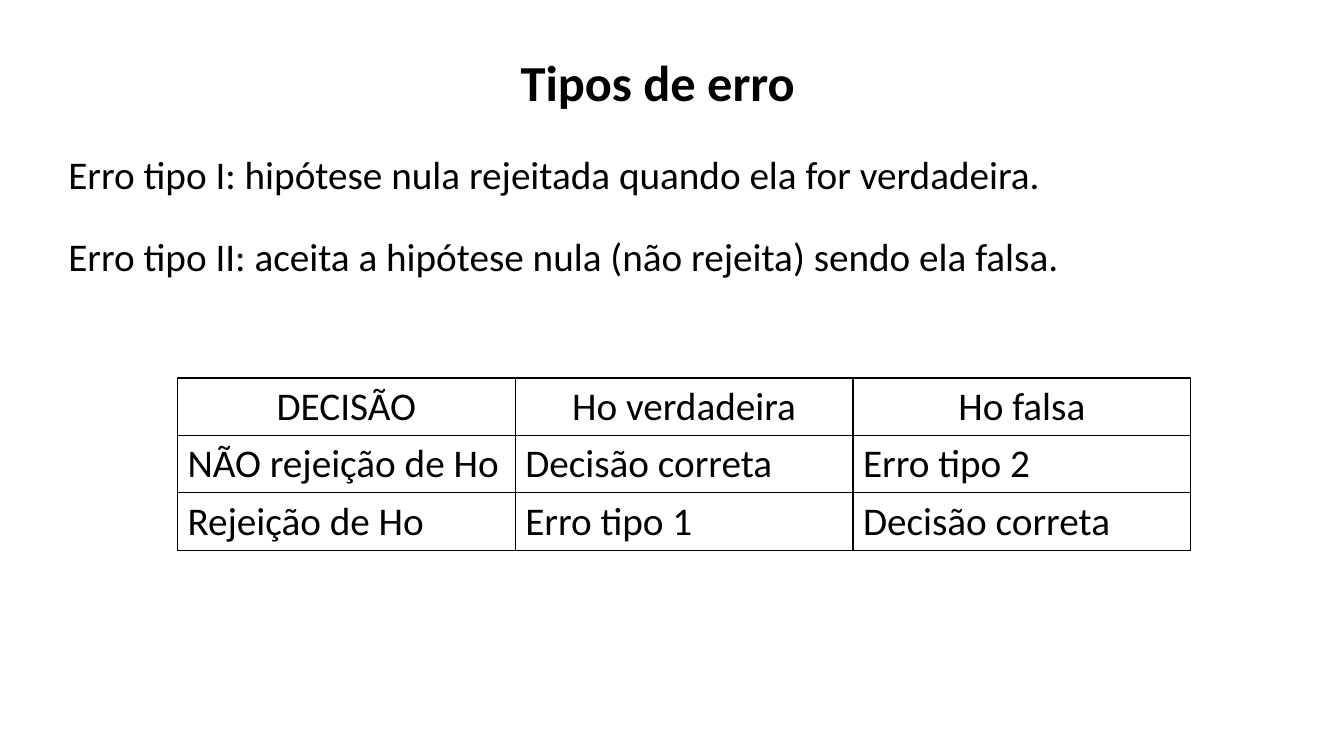
"""Build the slide on type I and type II errors."""
import pptx
import pptx.util
import pptx.dml.color
import pptx.enum.text
import pptx.oxml
import pptx.oxml.ns

Inches = pptx.util.Inches
Pt = pptx.util.Pt
Align = pptx.enum.text.PP_ALIGN
Anchor = pptx.enum.text.MSO_ANCHOR
BLACK = pptx.dml.color.RGBColor(0, 0, 0)


def style(para, size, align, bold=False):
    para.alignment = align
    para.font.name = "Calibri"
    para.font.size = Pt(size)
    para.font.bold = bold
    para.font.color.rgb = BLACK


def border(cell):
    props = cell._tc.get_or_add_tcPr()
    for i, side in enumerate(("lnL", "lnR", "lnT", "lnB")):
        line = pptx.oxml.parse_xml(
            f'<a:{side} {pptx.oxml.ns.nsdecls("a")} w="12700">'
            f'<a:solidFill><a:srgbClr val="{BLACK}"/></a:solidFill></a:{side}>'
        )
        props.insert(i, line)


deck = pptx.Presentation()
deck.slide_width = Inches(13.33)
deck.slide_height = Inches(7.5)
slide = deck.slides.add_slide(deck.slide_layouts[5])

title = slide.shapes.title
title.left, title.top = Inches(0.68), Inches(0.5)
title.width, title.height = Inches(11.69), Inches(0.69)
title.text_frame.text = "Tipos de erro"
title.text_frame.vertical_anchor = Anchor.MIDDLE
head = title.text_frame.paragraphs[0]
head.line_spacing = 0.9
style(head, 36, Align.CENTER, True)

notes = [
    (1.53, 0.51, 0.8, "Erro tipo I: hipótese nula rejeitada quando ela for verdadeira."),
    (2.31, 0.98, 0.9, "Erro tipo II: aceita a hipótese nula (não rejeita) sendo ela falsa."),
]
for top, height, space, text in notes:
    box = slide.shapes.add_textbox(Inches(0.58), Inches(top), Inches(12.17), Inches(height))
    frame = box.text_frame
    frame.word_wrap = True
    frame.text = text
    frame.paragraphs[0].line_spacing = space
    style(frame.paragraphs[0], 28, Align.JUSTIFY)

rows = [
    ("DECISÃO", "Ho verdadeira", "Ho falsa"),
    ("NÃO rejeição de Ho", "Decisão correta", "Erro tipo 2"),
    ("Rejeição de Ho", "Erro tipo 1", "Decisão correta"),
]
table = slide.shapes.add_table(
    3, 3, Inches(1.76), Inches(3.75), Inches(10.05), Inches(1.71)
).table
table.first_row = False
table.horz_banding = False
for r, row in enumerate(rows):
    for c, text in enumerate(row):
        cell = table.cell(r, c)
        cell.text = text
        cell.fill.background()
        style(cell.text_frame.paragraphs[0], 28, Align.LEFT if r else Align.CENTER)
        border(cell)

deck.save("out.pptx")
